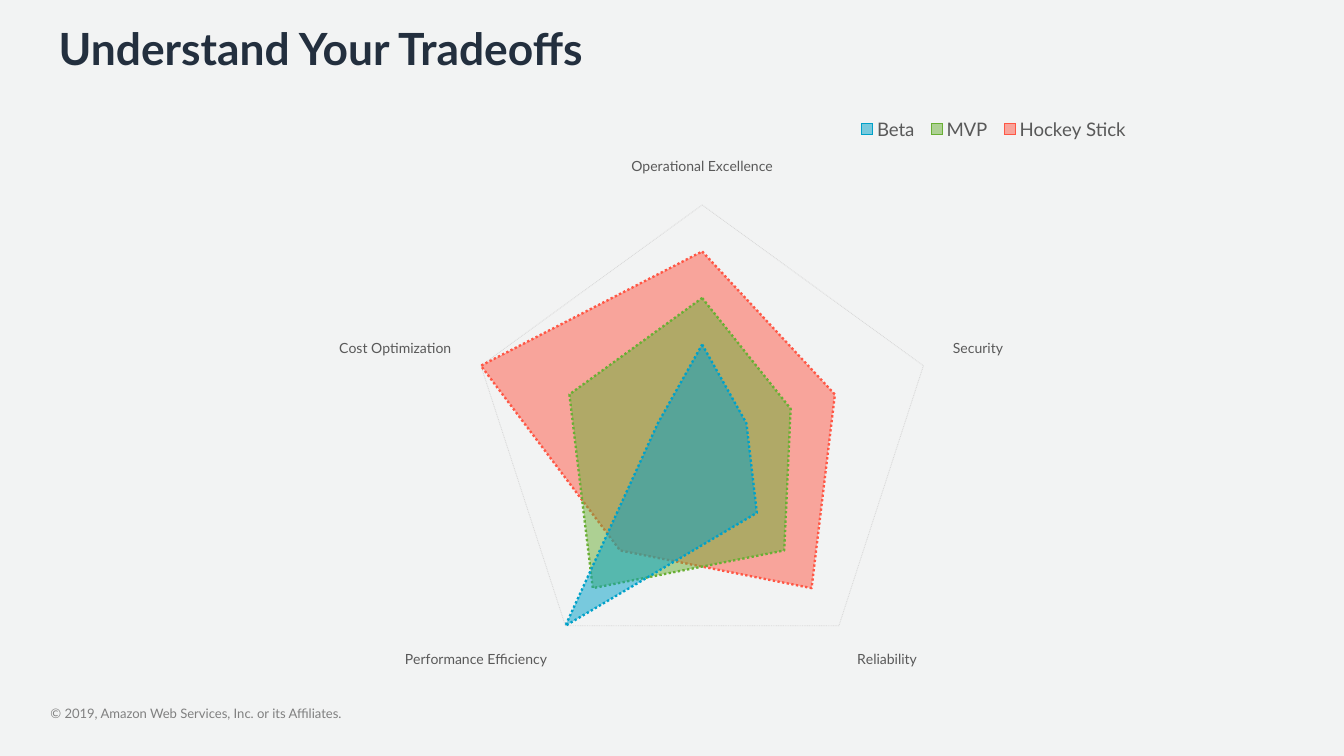
from lxml import etree
from pptx import Presentation
from pptx import util as u
from pptx.chart.data import CategoryChartData
from pptx.dml.color import RGBColor
from pptx.enum import chart as ch, dml
from pptx.oxml.ns import qn

W, H = 16, 9
COLORS = {
    "bg": "F2F3F3", "title": "232F3E", "footer": "808080",
    "label": "595959", "grid": "D9D9D9",
    "Beta": "00A1C9", "MVP": "69AF34", "Hockey Stick": "FF5745",
}
RGB = {name: RGBColor.from_string(value) for name, value in COLORS.items()}
CHART = {"x": 2.35, "y": 1.27, "w": 11.29, "h": 6.86}
PLOT = {"x": 5.59, "y": 2.44, "w": 5.54, "h": 5.54}
LEGEND = {"x": 10.13, "y": 1.37, "w": 3.4, "h": 0.33}


def set_font(font, size, color, bold=False):
    fmt = {"name": "Lato", "size": u.Pt(size), "bold": bold}
    for key, value in fmt.items():
        setattr(font, key, value)
    font.color.rgb = RGB[color]


def place(parent, box, index, inner):
    for old in parent.findall(qn("c:layout")):
        parent.remove(old)
    layout = etree.Element(qn("c:layout"))
    parent.insert(index, layout)
    manual = etree.SubElement(layout, qn("c:manualLayout"))
    values = {"layoutTarget": "inner"} if inner else {}
    values.update(xMode="edge", yMode="edge")
    values["x"] = (box["x"] - CHART["x"]) / CHART["w"]
    values["y"] = (box["y"] - CHART["y"]) / CHART["h"]
    values["w"] = box["w"] / CHART["w"]
    values["h"] = box["h"] / CHART["h"]
    for tag, value in values.items():
        etree.SubElement(manual, qn(f"c:{tag}")).set("val", str(value))


prs = Presentation()
prs.slide_width, prs.slide_height = u.Inches(W), u.Inches(H)
s = prs.slides.add_slide(prs.slide_layouts[6])
s.background.fill.solid()
s.background.fill.fore_color.rgb = RGB["bg"]

texts = [
    ("© 2019, Amazon Web Services, Inc. or its Affiliates.",
     (0.6, 8.4, 7.78, 0.19), 11.2, "footer", False, (0, 0)),
    ("Understand Your Tradeoffs",
     (0.6, 0.2, 14.78, 0.95), 38, "title", True, (0.1, 0.05)),
]
for content, box, size, color, bold, (side, edge) in texts:
    tf = s.shapes.add_textbox(*map(u.Inches, box)).text_frame
    fmt = {
        "word_wrap": True,
        "margin_left": u.Inches(side), "margin_right": u.Inches(side),
        "margin_top": u.Inches(edge), "margin_bottom": u.Inches(edge),
    }
    for key, value in fmt.items():
        setattr(tf, key, value)
    r = tf.paragraphs[0].add_run()
    r.text = content
    set_font(r.font, size, color, bold)

data = CategoryChartData()
data.categories = ["Operational Excellence", "Security", "Reliability",
                   "Performance Efficiency", "Cost Optimization"]
data.add_series("Beta", (40, 20, 40, 100, 20))
data.add_series("MVP", (60, 40, 60, 80, 60))
data.add_series("Hockey Stick", (80, 60, 80, 60, 100))
chart = s.shapes.add_chart(ch.XL_CHART_TYPE.RADAR_FILLED,
                           *map(u.Inches, CHART.values()), data).chart
set_font(chart.font, 10, "label")
chart.has_title = False
chart.has_legend = True
chart.legend.position = ch.XL_LEGEND_POSITION.TOP
chart.legend.include_in_layout = False
set_font(chart.legend.font, 16, "label")

cat, val = chart.category_axis, chart.value_axis
cat.has_major_gridlines = False
cat.major_tick_mark = ch.XL_TICK_MARK.NONE
set_font(cat.tick_labels.font, 12, "label")
for key, value in {"visible": False, "minimum_scale": 0, "maximum_scale": 100,
                   "major_unit": 100, "has_major_gridlines": True}.items():
    setattr(val, key, value)

lines = [(cat.format.line, "grid", 0.75, None),
         (val.major_gridlines.format.line, "grid", 0.75, dml.MSO_LINE.ROUND_DOT)]
plot = chart.plots[0]
plot.vary_by_categories = False
for series in plot.series:
    fill = series.format.fill
    fill.solid()
    fill.fore_color.rgb = RGB[series.name]
    solid = series.format.fill._xPr.find(qn("a:solidFill"))
    etree.SubElement(solid[0], qn("a:alpha")).set("val", "50000")
    lines.append((series.format.line, series.name, 2, dml.MSO_LINE.ROUND_DOT))
for line, color, width, dash in lines:
    line.color.rgb = RGB[color]
    line.width = u.Pt(width)
    if dash:
        line.dash_style = dash

place(chart.element.find(".//" + qn("c:plotArea")), PLOT, 0, True)
place(chart.element.find(".//" + qn("c:legend")), LEGEND, 1, False)

prs.save("out.pptx")
